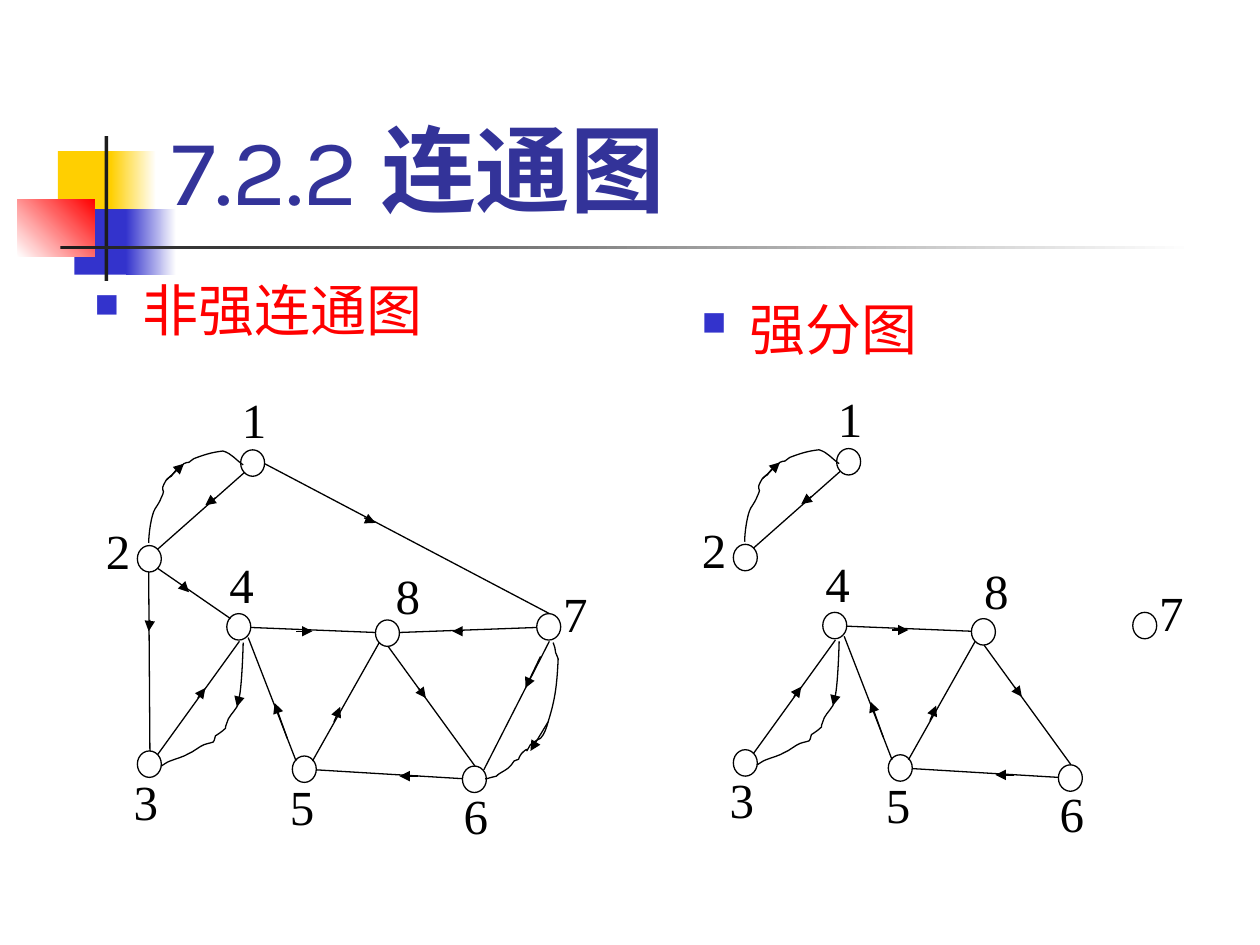
from lxml import etree
from pptx import Presentation
from pptx.dml.color import RGBColor as RGB
from pptx.enum.shapes import MSO_CONNECTOR as CONN, MSO_SHAPE as SHAPE
from pptx.enum.text import MSO_ANCHOR as ANCHOR, PP_ALIGN as ALIGN
from pptx.oxml.ns import qn
from pptx.util import Inches, Pt

COLORS = {
    "black": "000000", "white": "FFFFFF", "yellow": "FFCF01", "blue": "3333CC",
    "red": "FF0000", "ink": "1C1C1C", "title": "333399",
}
HEAD_FONT, LABEL_FONT = "Karla", "Times New Roman"

DECORATION = [
    (0.46, 1.2, 0.48, 0.52, ["yellow"], 0),
    (0.88, 1.2, 0.36, 0.52, ["yellow", "white"], 0),
    (0.59, 1.66, 0.46, 0.52, ["blue"], 0),
    (1, 1.66, 0.4, 0.52, ["blue", "white"], 0),
    (0.14, 1.58, 0.61, 0.46, ["white", "red"], 45),
    (0.83, 1.08, 0.03, 1.15, ["ink"], 0),
    (0.48, 1.95, 9, 0.03, ["ink", "white"], 0),
]

LABELS = {
    6: (3.59, 6.19), 5: (2.21, 6.12), 3: (0.97, 6.08), 2: (0.75, 4.09),
    1: (1.83, 3.05), 8: (3.05, 4.45), 4: (1.73, 4.36), 7: (4.38, 4.59),
}
NODES = {
    1: (1.91, 3.57), 2: (1.09, 4.33), 3: (1.09, 5.96), 4: (1.8, 4.87),
    5: (2.32, 6), 6: (3.67, 6.08), 8: (2.98, 4.92), 7: (4.26, 4.87),
}
EDGES = {
    (1, 2): ((1.94, 3.75), (1.25, 4.36)),
    (2, 4): ((1.25, 4.51), (1.83, 4.91)),
    (2, 3): ((1.18, 4.54), (1.19, 5.96)),
    (3, 4): ((1.9, 5.09), (1.25, 5.99)),
    (5, 4): ((1.97, 5.06), (2.35, 6.04)),
    (4, 8): ((1.99, 4.98), (2.98, 5.02)),
    (7, 8): ((3.17, 5.02), (4.26, 4.98)),
    (5, 8): ((3.01, 5.1), (2.48, 6.04)),
    (8, 6): ((3.08, 5.13), (3.77, 6.08)),
    (6, 5): ((2.51, 6.11), (3.67, 6.18)),
    (7, 6): ((4.36, 5.09), (3.84, 6.11)),
    (1, 7): ((2.1, 3.68), (4.36, 4.87)),
}
CURVES = {
    (2, 1): [
        (1.93, 3.69), (1.87, 3.65), (1.84, 3.6), (1.77, 3.58), (1.68, 3.59), (1.62, 3.61),
        (1.54, 3.64), (1.53, 3.64), (1.52, 3.66), (1.5, 3.67), (1.49, 3.67), (1.48, 3.67),
        (1.46, 3.68), (1.44, 3.7), (1.39, 3.74), (1.39, 3.74), (1.38, 3.75), (1.37, 3.77),
        (1.36, 3.78), (1.35, 3.79), (1.33, 3.79), (1.32, 3.81), (1.25, 3.93), (1.33, 3.85),
        (1.28, 3.95), (1.27, 3.98), (1.25, 4.01), (1.23, 4.04), (1.2, 4.09), (1.18, 4.24),
        (1.18, 4.31)],
    (4, 3): [
        (1.93, 5.1), (1.93, 5.13), (1.92, 5.44), (1.9, 5.53), (1.9, 5.56), (1.89, 5.59),
        (1.88, 5.61), (1.85, 5.66), (1.81, 5.69), (1.8, 5.74), (1.79, 5.76), (1.79, 5.77),
        (1.79, 5.78), (1.76, 5.81), (1.71, 5.84), (1.71, 5.84), (1.69, 5.91), (1.71, 5.88),
        (1.62, 5.91), (1.59, 5.92), (1.53, 5.97), (1.5, 5.98), (1.45, 6.01), (1.4, 6.02),
        (1.35, 6.04), (1.32, 6.05), (1.3, 6.07), (1.28, 6.08)],
    (7, 6): [
        (4.39, 5.1), (4.4, 5.13), (4.41, 5.15), (4.41, 5.18), (4.42, 5.2), (4.43, 5.23),
        (4.43, 5.23), (4.42, 5.43), (4.41, 5.54), (4.35, 5.73), (4.34, 5.77), (4.32, 5.83),
        (4.29, 5.86), (4.26, 5.87), (4.21, 5.91), (4.21, 5.91), (4.14, 6.03), (4.23, 5.89),
        (4.14, 5.98), (4.09, 6.05), (4.15, 6.01), (4.08, 6.04), (4.04, 6.1), (4.03, 6.1),
        (3.98, 6.13), (3.96, 6.14), (3.95, 6.15), (3.94, 6.16), (3.93, 6.16), (3.91, 6.17),
        (3.9, 6.17), (3.88, 6.18), (3.85, 6.18), (3.85, 6.18)],
}
ARROWS = [
    (7, 6, (4.35, 5.73), (4.21, 5.96)), (7, 6, (4.29, 5.21), (4.17, 5.46)),
    (7, 8, (3.67, 5.01), (3.59, 5.01)), (4, 8, (2.35, 5.01), (2.48, 5.01)),
    (1, 7, (2.89, 4.11), (2.98, 4.15)), (5, 4, (2.28, 5.86), (2.18, 5.58)),
    (5, 8, (2.65, 5.73), (2.7, 5.61)), (8, 6, (3.32, 5.46), (3.38, 5.54)),
    (6, 5, (3.32, 6.16), (3.17, 6.16)), (4, 3, (1.9, 5.53), (1.88, 5.61)),
    (3, 4, (1.57, 5.54), (1.63, 5.46)), (2, 3, (1.19, 4.92), (1.18, 5.01)),
    (2, 4, (1.44, 4.64), (1.5, 4.7)), (2, 1, (1.32, 3.81), (1.46, 3.68)),
    (1, 2, (1.71, 3.95), (1.63, 4.01)),
]


class Board:
    def __init__(self, slide):
        self.slide = slide
        self.shapes = slide.shapes

    def color(self, name):
        return RGB.from_string(COLORS[name])

    def font(self, r, size, name, color, bold=False):
        r.font.size, r.font.name, r.font.bold = Pt(size), name, bold
        r.font.color.rgb = self.color(color)

    def stroke(self, line, color="black"):
        line.color.rgb = self.color(color)
        line.width = Pt(0.75)

    def shape(self, x, y, w, h, fills, line=None, kind=SHAPE.RECTANGLE, angle=0):
        sp = self.shapes.add_shape(kind, Inches(x), Inches(y), Inches(w), Inches(h))
        sp.shadow.inherit = False
        if len(fills) == 1:
            sp.fill.solid()
            sp.fill.fore_color.rgb = self.color(fills[0])
        else:
            sp.fill.gradient()
            sp.fill.gradient_angle = angle
            for stop, name in zip(sp.fill.gradient_stops, fills):
                stop.color.rgb = self.color(name)
        if line:
            self.stroke(sp.line, line)
        else:
            sp.line.fill.background()
        return sp

    def text(self, x, y, w, h, anchor=ANCHOR.TOP):
        tf = self.shapes.add_textbox(Inches(x), Inches(y), Inches(w), Inches(h)).text_frame
        tf.word_wrap = True
        tf.vertical_anchor = anchor
        return tf.paragraphs[0]

    def title(self, number, words):
        p = self.text(1.26, 0.23, 8.52, 1.6, ANCHOR.BOTTOM)
        for text, bold in ((number, False), (words, True)):
            r = p.add_run()
            r.text = text
            self.font(r, 54, HEAD_FONT, "title", bold)

    def bullet(self, x, y, w, text):
        p = self.text(x, y, w, 5.48)
        p.text = text
        p.line_spacing = 1.5
        pPr = p._p.get_or_add_pPr()
        pPr.set("marL", str(Inches(0.38)))
        pPr.set("indent", str(-Inches(0.38)))
        color = etree.SubElement(pPr, qn("a:buClr"))
        etree.SubElement(color, qn("a:srgbClr"), val=COLORS["blue"])
        etree.SubElement(pPr, qn("a:buSzPct"), val="60000")
        etree.SubElement(pPr, qn("a:buChar"), char="■")
        self.font(p.runs[0], 32, HEAD_FONT, "red")

    def label(self, x, y, text):
        tf = self.shape(x, y, 0.64, 0.62, ["white"], "white").text_frame
        tf.margin_left = tf.margin_right = Inches(0.09)
        tf.margin_top = tf.margin_bottom = Inches(0.04)
        tf.vertical_anchor = ANCHOR.TOP
        tf.text = text
        p = tf.paragraphs[0]
        p.alignment = ALIGN.LEFT
        self.font(p.runs[0], 28, LABEL_FONT, "black")

    def line(self, start, end, arrow=False):
        c = self.shapes.add_connector(CONN.STRAIGHT, *map(Inches, (*start, *end)))
        self.stroke(c.line)
        if arrow:
            etree.SubElement(c.line._get_or_add_ln(), qn("a:tailEnd"), type="triangle")
        etree.SubElement(c._element.spPr, qn("a:effectLst"))

    def curve(self, points):
        start, *rest = [(Inches(x), Inches(y)) for x, y in points]
        builder = self.shapes.build_freeform(*start)
        builder.add_line_segments(rest, close=False)
        sp = builder.convert_to_shape()
        sp.shadow.inherit = False
        sp.fill.background()
        self.stroke(sp.line)
        outline = next(sp._element.iter(qn("a:path")))
        segments = outline.findall(qn("a:lnTo"))
        for i in range(0, len(segments), 3):
            bezier = etree.SubElement(outline, qn("a:cubicBezTo"))
            for segment in segments[i:i + 3]:
                bezier.append(segment[0])
                outline.remove(segment)

    def graph(self, components, dx=0, dy=0, moved_labels=None):
        def at(point):
            return point[0] + dx, point[1] + dy

        def kept(a, b):
            return any(a in group and b in group for group in components)

        self.shapes = self.slide.shapes.add_group_shape().shapes
        for number, point in {**LABELS, **(moved_labels or {})}.items():
            self.label(*at(point), str(number))
        for point in NODES.values():
            self.shape(*at(point), 0.19, 0.21, ["white"], "black", SHAPE.OVAL)
        for pair, ends in EDGES.items():
            if kept(*pair):
                self.line(*map(at, ends))
        for pair, points in CURVES.items():
            if kept(*pair):
                self.curve(map(at, points))
        for a, b, start, end in ARROWS:
            if kept(a, b):
                self.line(at(start), at(end), arrow=True)
        self.shapes = self.slide.shapes


def main():
    prs = Presentation()
    prs.slide_width, prs.slide_height = Inches(10), Inches(7.5)
    s = Board(prs.slides.add_slide(prs.slide_layouts[6]))
    for x, y, w, h, fills, angle in DECORATION:
        s.shape(x, y, w, h, fills, angle=angle)
    s.title("7.2.2 ", "连通图")
    s.bullet(0.65, 1.87, 4.57, "非强连通图")
    s.bullet(5.47, 2.02, 4.49, "强分图")
    s.graph([set(NODES)])
    s.graph([{1, 2}, {3, 4, 5, 6, 8}, {7}], 4.73, -0.01, {8: (2.99, 4.42)})
    prs.save("out.pptx")


if __name__ == "__main__":
    main()
